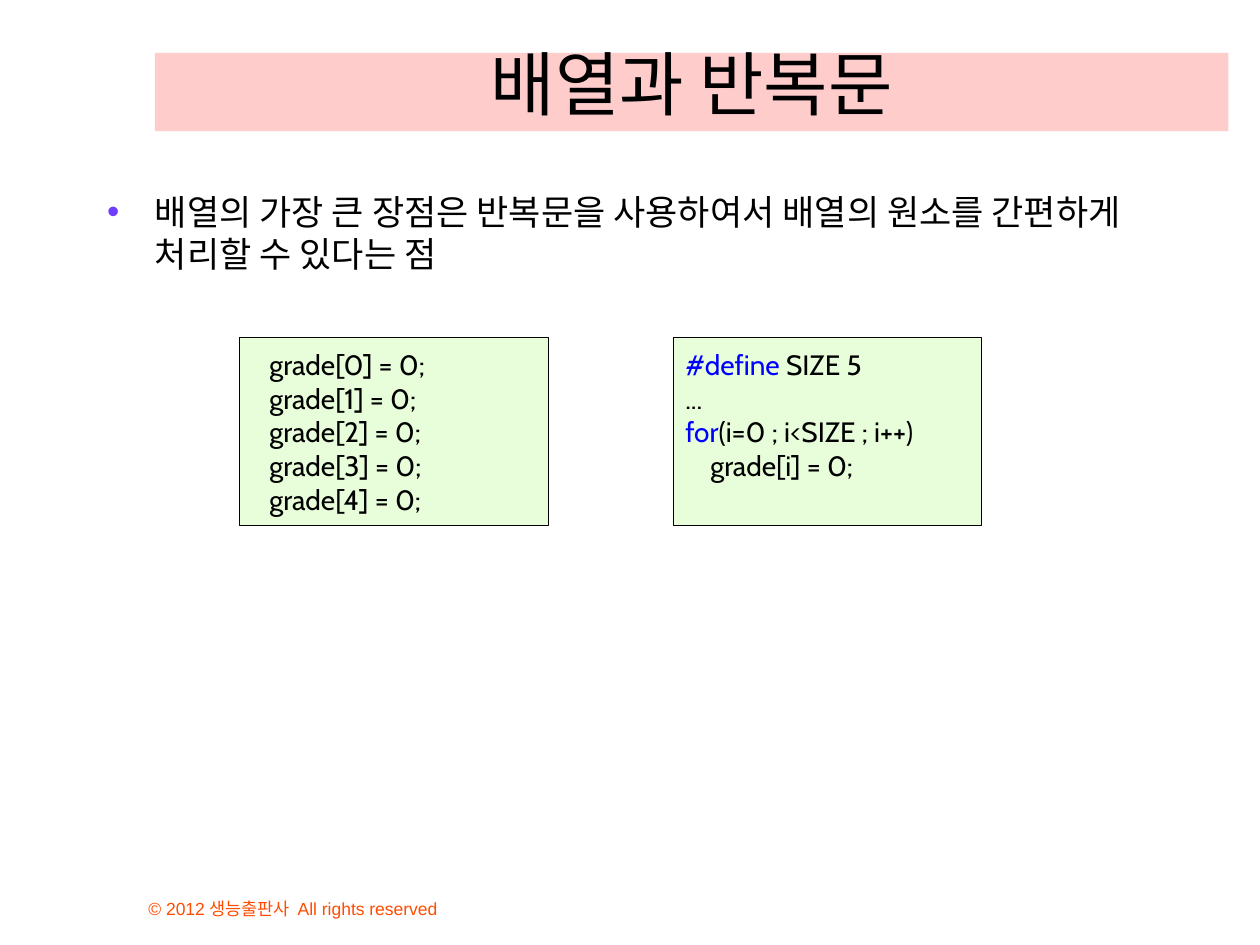
"""Build the slide on arrays and loops."""
from lxml import etree
from pptx import Presentation
from pptx import util as u
from pptx.dml.color import RGBColor
from pptx.enum import shapes, text
from pptx.oxml import ns

BLACK = RGBColor(0x00, 0x00, 0x00)
BLUE = RGBColor(0x00, 0x00, 0xFF)
PINK = RGBColor(0xFF, 0xCC, 0xCC)
GREEN = RGBColor(0xE8, 0xFE, 0xDB)
ORANGE = RGBColor(0xFF, 0x4C, 0x00)
PURPLE = RGBColor(0x70, 0x3D, 0xFF)

TITLE = {"name": "Comic Neue", "size": u.Pt(40)}
BODY = {"name": "Comic Neue", "size": u.Pt(20)}
CODE = {"name": "Cabin", "size": u.Pt(16)}
FOOTER = {"name": "Arial", "size": u.Pt(10)}


def apply(target, values):
    for name, value in values.items():
        setattr(target, name, value)


class SlideBuilder:
    def __init__(self, page):
        self.page = page

    def place(self, box, left, top, width, height, anchor):
        apply(box, {"left": u.Inches(left), "top": u.Inches(top),
                    "width": u.Inches(width), "height": u.Inches(height)})
        apply(box.text_frame, {"word_wrap": True, "vertical_anchor": anchor,
                               "auto_size": text.MSO_AUTO_SIZE.NONE})

    def add_span(self, para, words, style, color=BLACK):
        span = para.add_run()
        span.text = words
        apply(span.font, style)
        span.font.color.rgb = color

    def title(self, words, *area):
        box = self.page.shapes.title
        self.place(box, *area, text.MSO_ANCHOR.BOTTOM)
        box.fill.solid()
        box.fill.fore_color.rgb = PINK
        para = box.text_frame.paragraphs[0]
        para.alignment = text.PP_ALIGN.CENTER
        self.add_span(para, words, TITLE)

    def bullets(self, items, *area):
        box = self.page.placeholders[1]
        self.place(box, *area, text.MSO_ANCHOR.TOP)
        frame = box.text_frame
        for index, words in enumerate(items):
            para = frame.add_paragraph() if index else frame.paragraphs[0]
            props = para._p.get_or_add_pPr()
            props.set("marL", str(u.Inches(0.38)))
            props.set("indent", str(u.Inches(-0.38)))
            tint = etree.SubElement(props, ns.qn("a:buClr"))
            etree.SubElement(tint, ns.qn("a:srgbClr"), val=str(PURPLE))
            etree.SubElement(props, ns.qn("a:buChar"), char="•")
            para.space_before = u.Pt(4 if index else 0)
            self.add_span(para, words, BODY)

    def code(self, lines, left, indent=0):
        box = self.page.shapes.add_shape(shapes.MSO_SHAPE.RECTANGLE, 0, 0, 0, 0)
        self.place(box, left, 2.68, 2.45, 1.49, text.MSO_ANCHOR.TOP)
        box.shadow.inherit = False
        box.fill.solid()
        box.fill.fore_color.rgb = GREEN
        box.line.color.rgb = BLACK
        box.line.width = u.Pt(0.33)
        frame = box.text_frame
        frame.margin_top = u.Inches(0.08)
        for index, (keyword, rest) in enumerate(lines):
            para = frame.add_paragraph() if index else frame.paragraphs[0]
            para.alignment = text.PP_ALIGN.JUSTIFY
            para._p.get_or_add_pPr().set("indent", str(u.Inches(indent)))
            if keyword:
                self.add_span(para, keyword, CODE, BLUE)
            self.add_span(para, rest, CODE)

    def footer(self, words, *area):
        box = self.page.shapes.add_textbox(0, 0, 0, 0)
        self.place(box, *area, text.MSO_ANCHOR.BOTTOM)
        self.add_span(box.text_frame.paragraphs[0], words, FOOTER, ORANGE)


def main():
    deck = Presentation()
    apply(deck, {"slide_width": u.Inches(10), "slide_height": u.Inches(7.5)})
    slide = SlideBuilder(deck.slides.add_slide(deck.slide_layouts[1]))
    slide.footer("© 2012 생능출판사  All rights reserved", 1.08, 6.92, 3.83, 0.42)
    slide.title("배열과 반복문", 1.23, 0.42, 8.52, 0.62)
    slide.bullets(
        ["배열의 가장 큰 장점은 반복문을 사용하여서 배열의 원소를 간편하게 처리할 수 있다는 점"],
        0.75, 1.46, 8.98, 4.54)
    slide.code([("#define", " SIZE 5"), ("", "..."),
                ("for", "(i=0 ; i<SIZE ; i++)"), ("", "    grade[i] = 0;")], 5.34)
    slide.code([("", f"grade[{index}] = 0;") for index in range(5)], 1.9, 0.14)
    deck.save("out.pptx")


if __name__ == "__main__":
    main()
